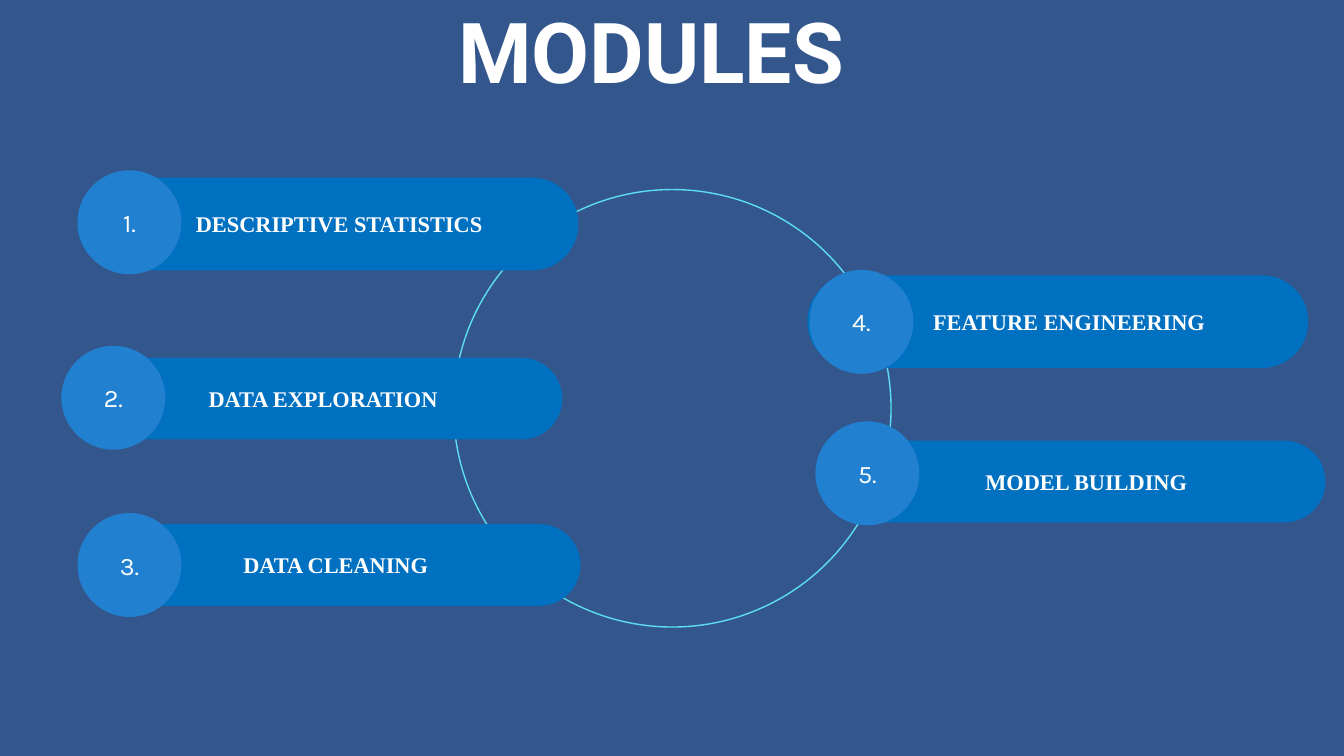
import pptx
import pptx.util
import pptx.dml.color
import pptx.enum.shapes
import pptx.enum.text

Pt = pptx.util.Pt
RGBColor = pptx.dml.color.RGBColor
MSO_SHAPE = pptx.enum.shapes.MSO_SHAPE
MSO_ANCHOR = pptx.enum.text.MSO_ANCHOR
PP_ALIGN = pptx.enum.text.PP_ALIGN

NAVY = RGBColor(0x33, 0x57, 0x8D)
BLUE = RGBColor(0x00, 0x70, 0xC0)
BADGE_BLUE = RGBColor(0x21, 0x80, 0xCF)
CYAN = RGBColor(0x5C, 0xDD, 0xF1)
WHITE = RGBColor(0xFF, 0xFF, 0xFF)

BADGE_SIZE = 74.2
PILL_WIDTH = 357.8
TALL, SHORT = 66.2, 58.3

# name, pill left, pill top, pill height, badge shift, label indent
MODULES = [
    ("DESCRIPTIVE STATISTICS", (55.4, 126.9, PILL_WIDTH, TALL), (0, -5.2), 16),
    ("DATA EXPLORATION", (43.9, 255.6, PILL_WIDTH, SHORT), (0, -8.6), 16),
    ("DATA CLEANING", (56.9, 374.4, PILL_WIDTH, SHORT), (-1.5, -7.9), 8),
    ("FEATURE ENGINEERING", (576.7, 196.6, PILL_WIDTH, TALL), (1.5, -3.8), 16),
    ("MODEL BUILDING", (589, 314.8, PILL_WIDTH, SHORT), (-6.5, -13.8), 16),
]


def write(sp, text, font, size, bold=False, anchor=MSO_ANCHOR.MIDDLE,
          margins=(7.2, 3.6, 7.2, 3.6), spacing=None):
    tf = sp.text_frame
    tf.word_wrap = True
    tf.vertical_anchor = anchor
    tf.margin_left, tf.margin_top, tf.margin_right, tf.margin_bottom = map(Pt, margins)
    p = tf.paragraphs[0]
    p.alignment = PP_ALIGN.CENTER
    if spacing:
        p.line_spacing = spacing
    r = p.add_run()
    r.text = text
    r.font.name = font
    r.font.size = Pt(size)
    r.font.bold = bold
    r.font.color.rgb = WHITE


def add_shape(slide, kind, box, fill=None, line=None):
    sp = slide.shapes.add_shape(kind, *map(Pt, box))
    sp.shadow.inherit = False
    if fill is None:
        sp.fill.background()
    else:
        sp.fill.solid()
        sp.fill.fore_color.rgb = fill
    if line is None:
        sp.line.fill.background()
    else:
        sp.line.color.rgb = line
        sp.line.width = Pt(1)
    return sp


def add_title(slide, box, text):
    sp = slide.shapes.add_textbox(*map(Pt, box))
    write(sp, text, "Roboto", 60, bold=True, anchor=MSO_ANCHOR.TOP,
          margins=(0, 0, 0, 0), spacing=0.9)


def add_module(slide, box, number, name, shift, indent):
    pill = add_shape(slide, MSO_SHAPE.ROUNDED_RECTANGLE, box, fill=BLUE)
    pill.adjustments[0] = 0.5
    write(pill, name, "Times New Roman", 16, bold=True,
          margins=(7.2 + indent, 3.6, 7.2, 3.6))
    badge_box = (box[0] + shift[0], box[1] + shift[1], BADGE_SIZE, BADGE_SIZE)
    badge = add_shape(slide, MSO_SHAPE.OVAL, badge_box, fill=BADGE_BLUE)
    write(badge, f"{number}.", "Karla", 18)


def main():
    prs = pptx.Presentation()
    prs.slide_width, prs.slide_height = Pt(960), Pt(540)
    slide = prs.slides.add_slide(prs.slide_layouts[6])
    slide.background.fill.solid()
    slide.background.fill.fore_color.rgb = NAVY
    add_title(slide, (105, 8, 720, 65.5), "MODULES")
    add_shape(slide, MSO_SHAPE.OVAL, (324, 135.4, 312.5, 312.5), line=CYAN)
    for number, (name, box, shift, indent) in enumerate(MODULES, 1):
        add_module(slide, box, number, name, shift, indent)
    prs.save("out.pptx")


if __name__ == "__main__":
    main()
